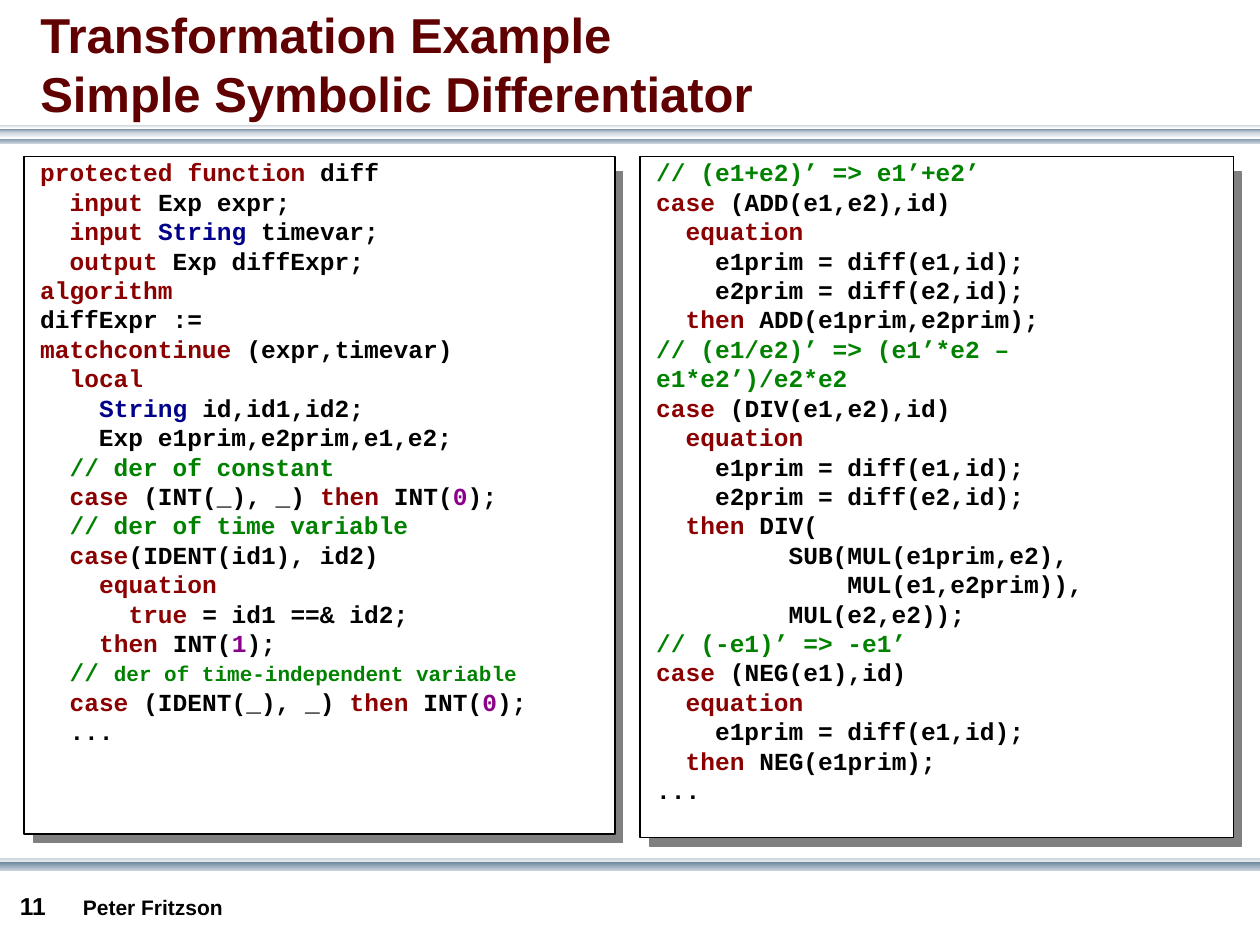
from itertools import groupby

from pptx import Presentation
from pptx.dml.color import RGBColor
from pptx.enum.shapes import MSO_SHAPE
from pptx.enum.text import MSO_ANCHOR, MSO_AUTO_SIZE, PP_ALIGN
from pptx.util import Inches, Pt

RECTANGLE = MSO_SHAPE.RECTANGLE
MIDDLE = MSO_ANCHOR.MIDDLE
LEFT = PP_ALIGN.LEFT
NO_AUTOFIT = MSO_AUTO_SIZE.NONE

BLACK = RGBColor(0x00, 0x00, 0x00)
WHITE = RGBColor(0xFF, 0xFF, 0xFF)
GRAY = RGBColor(0x80, 0x80, 0x80)
STEEL = RGBColor(0x6A, 0x83, 0x9C)
MIST = RGBColor(0xC8, 0xD1, 0xDA)
MAROON = RGBColor(0x60, 0x00, 0x00)
KEYWORD = RGBColor(0x8B, 0x00, 0x00)
TYPE = RGBColor(0x00, 0x00, 0x8B)
NUMBER = RGBColor(0x8B, 0x00, 0x8B)
COMMENT = RGBColor(0x00, 0x82, 0x00)

KEYWORDS = {"protected", "function", "input", "output", "algorithm", "local",
            "matchcontinue", "case", "then", "equation", "true"}
SMALL_COMMENT = "der of time-independent variable"

# Top and height of each band, with its gradient from top to bottom
BANDS = [
    (1.09, 0.05, STEEL, MIST),
    (1.02, 0.03, STEEL, MIST),
    (1.05, 0.05, MIST, WHITE),
    (0.99, 0.03, MIST, WHITE),
    (6.81, 0.05, MIST, WHITE),
    (6.84, 0.07, STEEL, MIST),
]

LEFT_CODE = """protected function diff
  input Exp expr;
  input String timevar;
  output Exp diffExpr;
algorithm
diffExpr :=
matchcontinue (expr,timevar)
  local
    String id,id1,id2;
    Exp e1prim,e2prim,e1,e2;
  // der of constant
  case (INT(_), _) then INT(0);
  // der of time variable
  case(IDENT(id1), id2)
    equation
      true = id1 ==& id2;
    then INT(1);
  // der of time-independent variable
  case (IDENT(_), _) then INT(0);
  ..."""

RIGHT_CODE = """// (e1+e2)’ => e1’+e2’
case (ADD(e1,e2),id)
  equation
    e1prim = diff(e1,id);
    e2prim = diff(e2,id);
  then ADD(e1prim,e2prim);
// (e1/e2)’ => (e1’*e2 – e1*e2’)/e2*e2
case (DIV(e1,e2),id)
  equation
    e1prim = diff(e1,id);
    e2prim = diff(e2,id);
  then DIV(
         SUB(MUL(e1prim,e2),
             MUL(e1,e2prim)),
         MUL(e2,e2));
// (-e1)’ => -e1’
case (NEG(e1),id)
  equation
    e1prim = diff(e1,id);
  then NEG(e1prim);
..."""


def word_color(word):
    if word in KEYWORDS:
        return KEYWORD
    if word == "String":
        return TYPE
    return NUMBER if word.isdigit() else BLACK


def highlight(line):
    """Yield (text, color, size) for each part of a code line."""
    code, marker, comment = line.partition("//")
    words = ["".join(group) for _, group in groupby(code, str.isalnum)]
    for color, group in groupby(words, word_color):
        yield "".join(group), color, 14
    if comment.strip() == SMALL_COMMENT:
        yield marker + " ", COMMENT, 14
        yield SMALL_COMMENT, COMMENT, 12
    elif marker:
        yield marker + comment, COMMENT, 14


class SlideBuilder:
    text_font = "Arial"
    code_font = "Courier New"
    line_height = 1.2  # times the text size

    def __init__(self, slide):
        self.slide = slide

    def style(self, run, size, color, font=text_font):
        run.font.name = font
        run.font.size = Pt(size)
        run.font.bold = True
        run.font.color.rgb = color

    def space(self, paragraph, size):
        paragraph.alignment = LEFT
        paragraph.line_spacing = Pt(size * self.line_height)

    def fill_text(self, text_frame, text, size, color):
        text_frame.text = text
        for paragraph in text_frame.paragraphs:
            self.space(paragraph, size)
            for run in paragraph.runs:
                self.style(run, size, color)

    def title(self, text, left, top, width, height):
        title = self.slide.shapes.title
        title.left, title.top = Inches(left), Inches(top)
        title.width, title.height = Inches(width), Inches(height)
        title.text_frame.auto_size = NO_AUTOFIT
        title.text_frame.vertical_anchor = MIDDLE
        self.fill_text(title.text_frame, text, 28, MAROON)

    def band(self, top, height, upper, lower):
        band = self.slide.shapes.add_shape(
            RECTANGLE, 0, Inches(top), Inches(10), Inches(height))
        band.shadow.inherit = False
        band.line.fill.background()
        band.fill.gradient()
        band.fill.gradient_angle = 270
        for stop, color in zip(band.fill.gradient_stops, (upper, lower)):
            stop.color.rgb = color

    def label(self, text, left, top, width, height, size):
        box = self.slide.shapes.add_textbox(
            Inches(left), Inches(top), Inches(width), Inches(height))
        self.fill_text(box.text_frame, text, size, BLACK)

    def rectangle(self, shapes, left, top, width, height, fill, line):
        shape = shapes.add_shape(
            RECTANGLE, Inches(left), Inches(top), Inches(width), Inches(height))
        shape.shadow.inherit = False
        shape.fill.solid()
        shape.fill.fore_color.rgb = fill
        shape.line.color.rgb = line
        shape.line.width = Pt(0.75)

    def code_panel(self, code, left, width, height, text_height):
        shapes = self.slide.shapes.add_group_shape().shapes
        # Grey slab behind, white face in front
        self.rectangle(shapes, left + 0.08, 1.36, width - 0.02, height - 0.05,
                       GRAY, GRAY)
        self.rectangle(shapes, left, 1.24, width, height, WHITE, BLACK)
        box = shapes.add_textbox(Inches(left + 0.03), Inches(1.2),
                                 Inches(width - 0.07), Inches(text_height))
        text_frame = box.text_frame
        text_frame.word_wrap = True
        for index, line in enumerate(code.splitlines()):
            paragraph = text_frame.add_paragraph() if index else text_frame.paragraphs[0]
            self.space(paragraph, 14)
            for text, color, size in highlight(line):
                run = paragraph.add_run()
                run.text = text
                self.style(run, size, color, self.code_font)


def main():
    presentation = Presentation()
    presentation.slide_width = Inches(10)
    presentation.slide_height = Inches(7.5)
    title_only = presentation.slide_layouts[5]
    builder = SlideBuilder(presentation.slides.add_slide(title_only))

    # Bands and footer
    for band in BANDS:
        builder.band(*band)
    builder.label("Peter Fritzson", 0.56, 7.05, 1.36, 0.3, 12)
    builder.label("11", 0.06, 7.02, 0.55, 0.34, 14)

    # Title
    builder.title("Transformation Example\vSimple Symbolic Differentiator",
                  0.22, -0.01, 9.78, 1.03)

    # Code panels
    builder.code_panel(LEFT_CODE, 0.19, 4.69, 5.38, 4.77)
    builder.code_panel(RIGHT_CODE, 5.08, 4.71, 5.41, 5.24)

    presentation.save("out.pptx")


if __name__ == "__main__":
    main()
